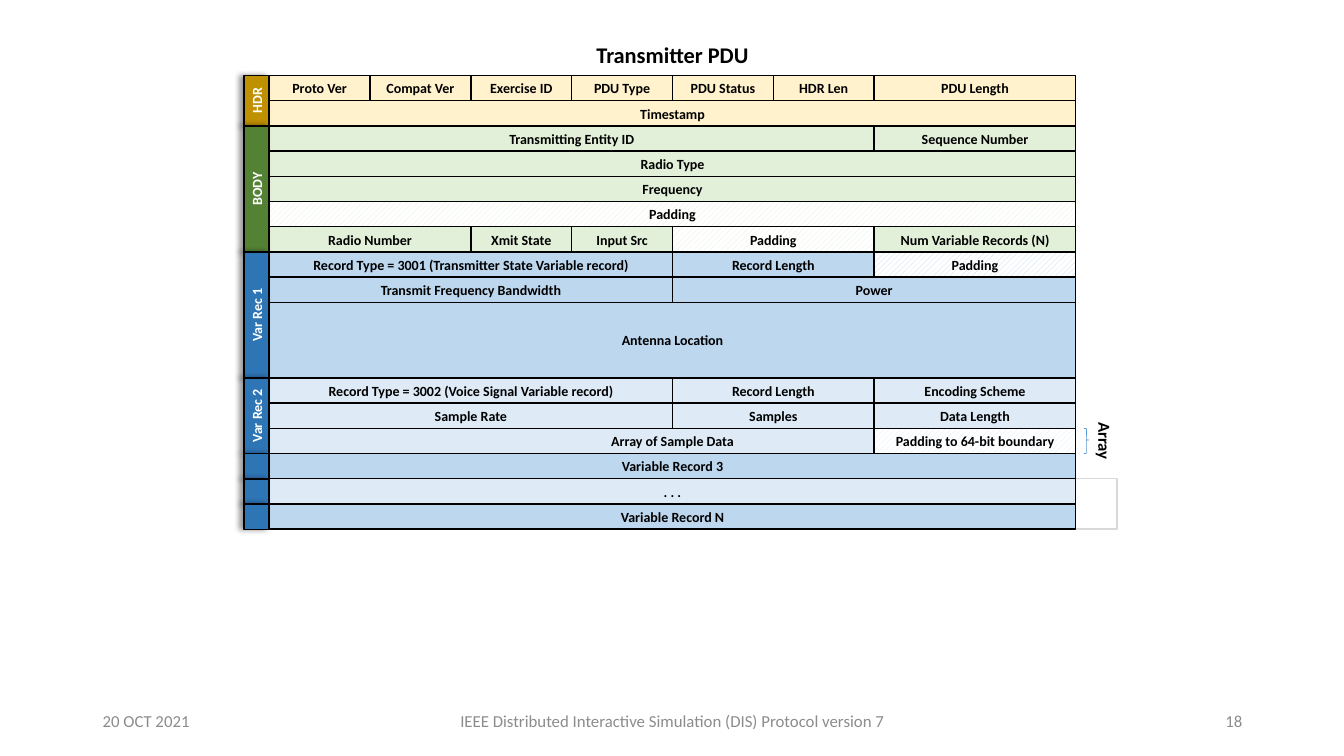
"""Build the Transmitter PDU layout slide."""
from dataclasses import dataclass

from lxml import etree
from pptx import Presentation
from pptx.dml.color import RGBColor
from pptx.enum.dml import MSO_PATTERN
from pptx.enum.shapes import MSO_SHAPE
from pptx.enum.text import MSO_ANCHOR, PP_ALIGN
from pptx.oxml.ns import qn
from pptx.util import Inches, Pt

RECT, BRACE = MSO_SHAPE.RECTANGLE, MSO_SHAPE.RIGHT_BRACE
LEFT, CENTER, RIGHT = PP_ALIGN.LEFT, PP_ALIGN.CENTER, PP_ALIGN.RIGHT
MIDDLE = MSO_ANCHOR.MIDDLE
STRIPES = MSO_PATTERN.WIDE_UPWARD_DIAGONAL

GRID_LEFT, GRID_TOP = 2.67, 0.75
BYTE_WIDTH, ROW_HEIGHT = 1, 0.25
ROW_BYTES = 8


@dataclass(frozen=True)
class Theme:
    font: str = "Calibri"
    title_size: float = 16
    note_size: float = 12
    field_size: float = 10
    black: str = "000000"
    white: str = "FFFFFF"
    footer: str = "8C8C8C"
    frame: str = "D9D9D9"
    brace: str = "5B9BD5"
    gold: str = "BF9000"
    cream: str = "FFF2CC"
    green: str = "548235"
    mint: str = "E2F0D9"
    blue: str = "2E75B6"
    sky: str = "BDD7EE"
    ice: str = "DEEBF7"


@dataclass(frozen=True)
class Box:
    left: float
    top: float
    width: float
    height: float

    def turned(self) -> "Box":
        """Swap width and height about the centre."""
        shift = (self.width - self.height) / 2
        return Box(self.left + shift, self.top - shift, self.height, self.width)

    def emu(self) -> tuple:
        """Return the box as slide lengths."""
        return tuple(map(Inches, (self.left, self.top, self.width, self.height)))


@dataclass(frozen=True)
class Field:
    text: str
    span: int = ROW_BYTES
    padding: bool = False
    rows: int = 1


@dataclass(frozen=True)
class Band:
    label: str
    side: str
    fill: str
    fields: tuple


THEME = Theme()

BANDS = (
    Band("HDR", THEME.gold, THEME.cream, (
        Field("Proto Ver", 1), Field("Compat Ver", 1), Field("Exercise ID", 1),
        Field("PDU Type", 1), Field("PDU Status", 1), Field("HDR Len", 1),
        Field("PDU Length", 2), Field("Timestamp"))),
    Band("BODY", THEME.green, THEME.mint, (
        Field("Transmitting Entity ID", 6), Field("Sequence Number", 2),
        Field("Radio Type"), Field("Frequency"), Field("Padding", padding=True),
        Field("Radio Number", 2), Field("Xmit State", 1), Field("Input Src", 1),
        Field("Padding", 2, True), Field("Num Variable Records (N)", 2))),
    Band("Var Rec 1", THEME.blue, THEME.sky, (
        Field("Record Type = 3001 (Transmitter State Variable record)", 4),
        Field("Record Length", 2), Field("Padding", 2, True),
        Field("Transmit Frequency Bandwidth", 4), Field("Power", 4),
        Field("Antenna Location", rows=3))),
    Band("Var Rec 2", THEME.blue, THEME.ice, (
        Field("Record Type = 3002 (Voice Signal Variable record)", 4),
        Field("Record Length", 2), Field("Encoding Scheme", 2),
        Field("Sample Rate", 4), Field("Samples", 2), Field("Data Length", 2),
        Field("Array of Sample Data"))),
    Band("", THEME.blue, THEME.sky, (Field("Variable Record 3"),)),
    Band("", THEME.blue, THEME.ice, (Field(". . ."),)),
    Band("", THEME.blue, THEME.sky, (Field("Variable Record N"),)),
)

ARRAY_PADDING = Field("Padding to 64-bit boundary", 2, True)
FOOTERS = (
    ("20 OCT 2021", Box(0.92, 6.95, 3, 0.4), LEFT),
    ("IEEE Distributed Interactive Simulation (DIS) Protocol version 7",
     Box(4.42, 6.95, 4.5, 0.4), CENTER),
    ("18", Box(9.42, 6.95, 3, 0.4), RIGHT),
)


def write(sp, text: str, *, size: float = THEME.field_size, color: str = THEME.black,
          bold: bool = True, align=CENTER, inset: float = 0) -> None:
    """Put one formatted line of text in a shape."""
    tf = sp.text_frame
    tf.word_wrap = True
    tf.vertical_anchor = MIDDLE
    tf.margin_left = tf.margin_right = Inches(inset)
    tf.margin_top = tf.margin_bottom = 0
    p = tf.paragraphs[0]
    p.alignment = align
    r = p.add_run()
    r.text = text
    r.font.name, r.font.size, r.font.bold = THEME.font, Pt(size), bold
    r.font.color.rgb = RGBColor.from_string(color)


def add_text(s, text: str, box: Box, rotation: float = 0, **style) -> None:
    """Add a text box."""
    sp = s.shapes.add_textbox(*box.emu())
    sp.rotation = rotation
    write(sp, text, **style)


def add_outline(s, box: Box, kind=RECT, line: str = THEME.black, weight: float = 1):
    """Add an unfilled shape without a shadow."""
    sp = s.shapes.add_shape(kind, *box.emu())
    sp.shadow.inherit = False
    sp.fill.background()
    sp.line.color.rgb = RGBColor.from_string(line)
    sp.line.width = Pt(weight)
    return sp


def add_field(s, field: Field, fill: str, row: int, start: int) -> None:
    """Add one PDU field at its row and starting byte."""
    sp = add_outline(s, Box(GRID_LEFT + start * BYTE_WIDTH, GRID_TOP + row * ROW_HEIGHT,
                            field.span * BYTE_WIDTH, field.rows * ROW_HEIGHT))
    if field.padding:
        sp.fill.patterned()
        sp.fill.pattern = STRIPES
        sp.fill.fore_color.rgb = RGBColor.from_string(fill)
        sp.fill.back_color.rgb = RGBColor.from_string(THEME.white)
    else:
        sp.fill.solid()
        sp.fill.fore_color.rgb = RGBColor.from_string(fill)
    write(sp, field.text)


def add_side(s, band: Band, row: int, rows: int) -> None:
    """Add the turned label beside a band."""
    box = Box(GRID_LEFT - ROW_HEIGHT, GRID_TOP + row * ROW_HEIGHT,
              ROW_HEIGHT, rows * ROW_HEIGHT)
    sp = add_outline(s, box.turned())
    sp.rotation = 270
    sp.fill.solid()
    sp.fill.fore_color.rgb = RGBColor.from_string(band.side)
    effects = sp._element.spPr.find(qn("a:effectLst"))
    shadow = etree.SubElement(effects, qn("a:outerShdw"), blurRad=str(Pt(4)),
                              dist=str(Pt(3)), dir="10800000", rotWithShape="0")
    color = etree.SubElement(shadow, qn("a:srgbClr"), val=THEME.black)
    etree.SubElement(color, qn("a:alpha"), val="40000")
    if band.label:
        write(sp, band.label, color=THEME.white)


def add_band(s, band: Band, first: int) -> int:
    """Lay out a band's fields and return the next free row."""
    row, start = first, 0
    for field in band.fields:
        add_field(s, field, band.fill, row, start)
        start += field.span
        if start == ROW_BYTES:
            row, start = row + field.rows, 0
    add_side(s, band, first, row - first)
    return row


def main() -> None:
    """Build and save the slide."""
    prs = Presentation()
    prs.slide_width, prs.slide_height = Inches(13.33), Inches(7.5)
    s = prs.slides.add_slide(prs.slide_layouts[6])
    add_text(s, "Transmitter PDU", Box(4.67, 0.42, 4, 0.25), size=THEME.title_size)
    add_outline(s, Box(10.66, 4.75, 0.42, 0.5), line=THEME.frame)
    row = 0
    for band in BANDS:
        row = add_band(s, band, row)
    add_field(s, ARRAY_PADDING, THEME.ice, 14, 6)
    brace = add_outline(s, Box(10.75, 4.25, 0.05, 0.25), BRACE, THEME.brace, 0.5)
    brace.adjustments[0], brace.adjustments[1] = 0.08, 0.46
    add_text(s, "Array", Box(10.67, 4.25, 0.58, 0.25), 90, size=THEME.note_size)
    for text, box, align in FOOTERS:
        add_text(s, text, box, size=THEME.note_size, color=THEME.footer,
                 bold=False, align=align, inset=0.1)
    prs.save("out.pptx")


if __name__ == "__main__":
    main()
